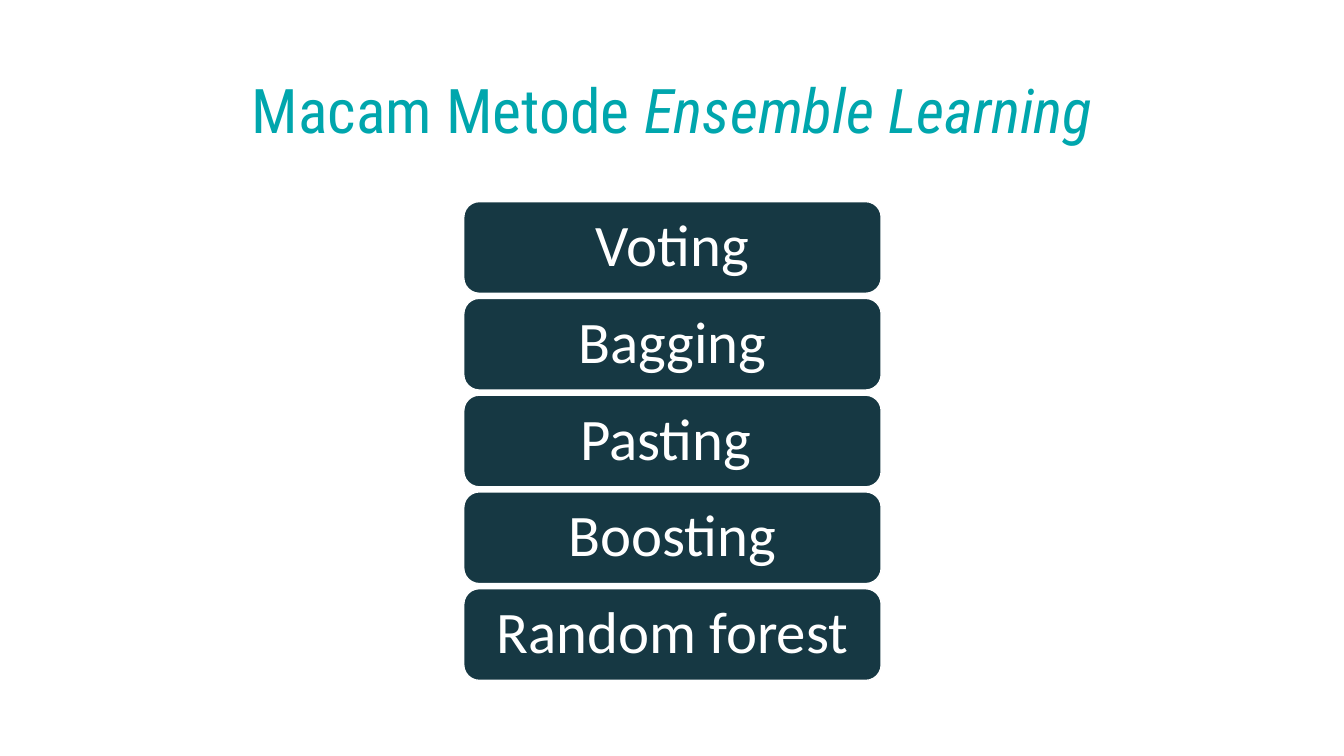
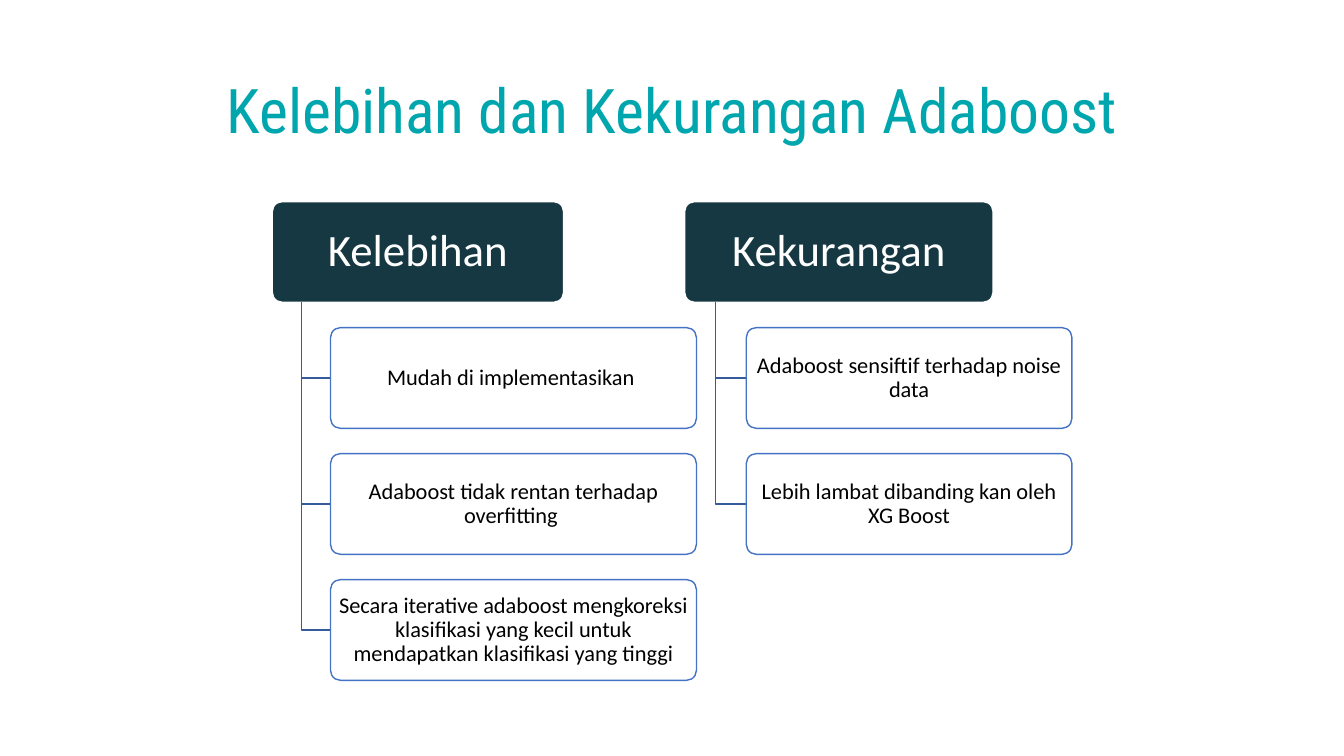
from pptx import Presentation
from pptx.dml.color import RGBColor
from pptx.enum.shapes import MSO_SHAPE
from pptx.enum.text import MSO_ANCHOR, PP_ALIGN
from pptx.util import Inches, Pt

ROUNDED = MSO_SHAPE.ROUNDED_RECTANGLE
MIDDLE = MSO_ANCHOR.MIDDLE
CENTER = PP_ALIGN.CENTER

WHITE, BLACK = "FFFFFF", "000000"
TEAL, NAVY = "00A6AD", "163843"
BLUE, ELBOW_BLUE = "4472C4", "365B9D"
TITLE_FONT, BODY_FONT = "Roboto Condensed", "Calibri"


def color(value):
    return RGBColor.from_string(value)


class Deck:
    """Holds the shared style and the slide being built."""

    def __init__(self):
        self.prs = Presentation()
        self.prs.slide_width = Inches(13.33)
        self.prs.slide_height = Inches(7.5)
        self.shapes = None

    def slide(self, title, italic_part=""):
        self.shapes = self.prs.slides.add_slide(self.prs.slide_layouts[6]).shapes
        heading = self.shapes.add_textbox(
            Inches(0.92), Inches(0.4), Inches(11.5), Inches(1.45))
        paragraph = self.style_text(heading, 44, TITLE_FONT, TEAL, (0.1, 0.05))
        paragraph.add_run().text = title
        if italic_part:
            emphasis = paragraph.add_run()
            emphasis.text = italic_part
            emphasis.font.italic = True

    def style_text(self, shape, size, font, ink, insets):
        frame = shape.text_frame
        frame.word_wrap = True
        frame.vertical_anchor = MIDDLE
        frame.margin_left = frame.margin_right = Inches(insets[0])
        frame.margin_top = frame.margin_bottom = Inches(insets[1])
        paragraph = frame.paragraphs[0]
        paragraph.alignment = CENTER
        paragraph.line_spacing = 0.9
        paragraph.font.size = Pt(size)
        paragraph.font.name = font
        paragraph.font.color.rgb = color(ink)
        return paragraph

    def box(self, text, left, top, width, height, size, insets,
            fill=NAVY, line=WHITE, ink=WHITE, corner=0.1):
        card = self.shapes.add_shape(
            ROUNDED, Inches(left), Inches(top), Inches(width), Inches(height))
        card.adjustments[0] = corner
        card.shadow.inherit = False
        card.fill.solid()
        card.fill.fore_color.rgb = color(fill)
        card.line.color.rgb = color(line)
        card.line.width = Pt(1)
        paragraph = self.style_text(card, size, BODY_FONT, ink, insets)
        paragraph.add_run().text = text

    def elbow(self, left, top, right, bottom):
        builder = self.shapes.build_freeform(Inches(left), Inches(top))
        builder.add_line_segments(
            [(Inches(left), Inches(bottom)), (Inches(right), Inches(bottom))],
            close=False)
        branch = builder.convert_to_shape()
        branch.shadow.inherit = False
        branch.fill.background()
        branch.line.color.rgb = color(ELBOW_BLUE)
        branch.line.width = Pt(1)

    def tree(self, header, points, left, header_width, point_width):
        top, height, pitch = 2, 1, 1.25
        stem = left + header_width / 10
        point_left = left + header_width / 5
        self.box(header, left, top, header_width, height, 32, (0.07, 0.04))
        for level, point in enumerate(points, start=1):
            point_top = top + level * pitch
            self.elbow(stem, top + height, point_left, point_top + height / 2)
            self.box(point, point_left, point_top, point_width, height, 16,
                     (0.03, 0.02), fill=WHITE, line=BLUE, ink=BLACK)


def main():
    deck = Deck()

    deck.slide("Macam Metode ", "Ensemble Learning")
    methods = ["Voting", "Bagging", "Pasting ", "Boosting", "Random forest"]
    for row, method in enumerate(methods):
        deck.box(method, 4.6, 2 + row * 0.96, 4.14, 0.91, 42, (0.17, 0.09),
                 corner=0.17)

    deck.slide("Kelebihan dan Kekurangan Adaboost")
    deck.tree("Kelebihan", [
        "Mudah di implementasikan ",
        "Adaboost tidak rentan terhadap overfitting ",
        "Secara iterative adaboost mengkoreksi klasifikasi yang kecil "
        "untuk mendapatkan klasifikasi yang tinggi",
    ], 2.7, 2.89, 3.63)
    deck.tree("Kekurangan", [
        "Adaboost sensiftif terhadap noise data",
        "Lebih lambat dibanding kan oleh XG Boost",
    ], 6.79, 3.06, 3.23)

    deck.prs.save("out.pptx")


if __name__ == "__main__":
    main()
